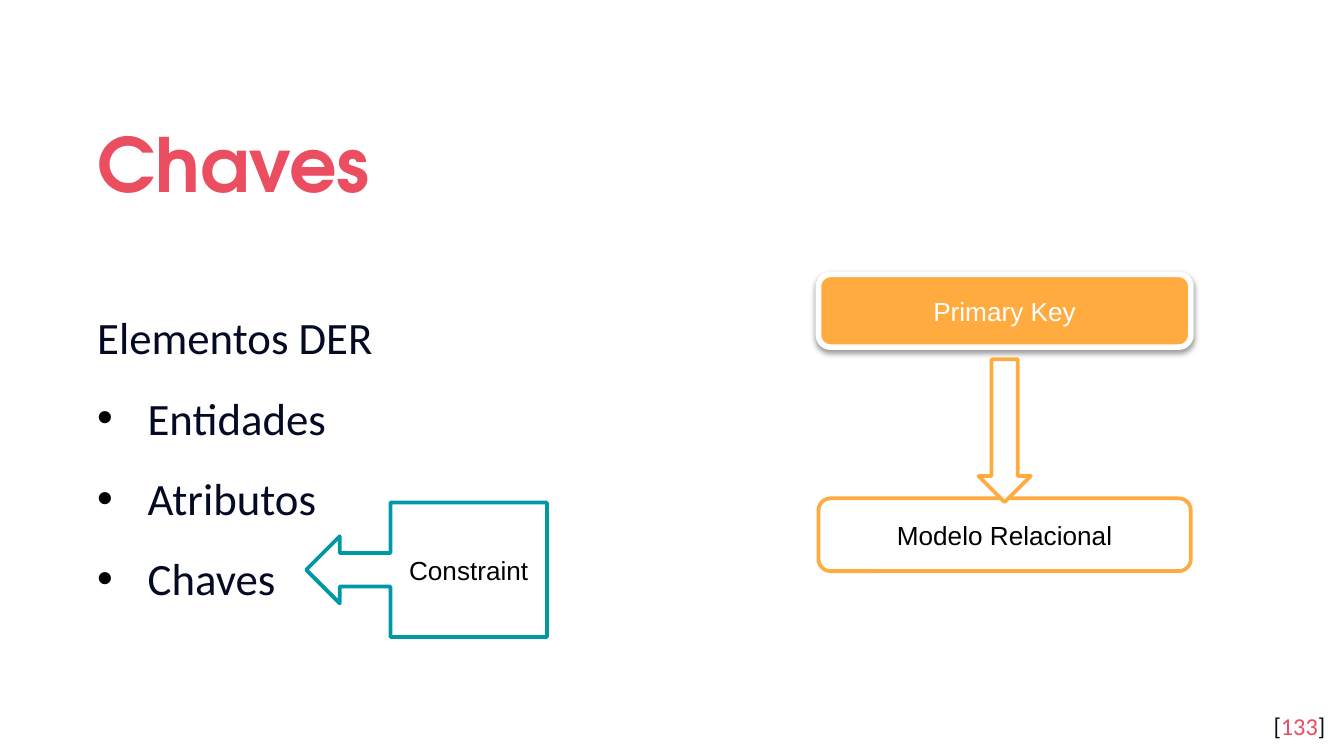
from lxml import etree
from pptx import Presentation
from pptx.dml.color import RGBColor
from pptx.enum.shapes import MSO_SHAPE
from pptx.enum.text import MSO_ANCHOR, MSO_AUTO_SIZE, PP_ALIGN
from pptx.oxml.ns import qn
from pptx.util import Pt

RED = RGBColor(0xEA, 0x4E, 0x60)
NAVY = RGBColor(0x04, 0x0A, 0x24)
TEAL = RGBColor(0x00, 0x97, 0xA7)
ORANGE = RGBColor(0xFF, 0xAB, 0x40)
WHITE = RGBColor(0xFF, 0xFF, 0xFF)
BLACK = RGBColor(0x00, 0x00, 0x00)

TITLE = dict(name="TeX Gyre Adventor", size=Pt(40), bold=True)
BODY = dict(name="Calibri", size=Pt(24))
NUMBER = dict(name="Calibri", size=Pt(13))
LABEL = dict(name="Arial", size=Pt(14))
INSET = 7.2


def add_run(p, text, color, fmt):
    r = p.add_run()
    r.text = text
    for key, value in fmt.items():
        setattr(r.font, key, value)
    r.font.color.rgb = color


def set_frame(tf, anchor, top=INSET):
    fmt = dict(word_wrap=True, auto_size=MSO_AUTO_SIZE.NONE, vertical_anchor=anchor,
               margin_left=Pt(INSET), margin_right=Pt(INSET),
               margin_top=Pt(top), margin_bottom=Pt(INSET))
    for key, value in fmt.items():
        setattr(tf, key, value)


def add_title(s, text, x, y, w, h):
    sp = s.shapes.title
    sp.left, sp.top, sp.width, sp.height = Pt(x), Pt(y), Pt(w), Pt(h)
    set_frame(sp.text_frame, MSO_ANCHOR.MIDDLE)
    p = sp.text_frame.paragraphs[0]
    p.alignment, p.line_spacing = PP_ALIGN.LEFT, 1.15
    add_run(p, text, RED, TITLE)


def add_page_number(s, number, x, y, w, h):
    tf = s.shapes.add_textbox(Pt(x), Pt(y), Pt(w), Pt(h)).text_frame
    set_frame(tf, MSO_ANCHOR.TOP)
    p = tf.paragraphs[0]
    p.alignment = PP_ALIGN.RIGHT
    for text, color in (("[", NAVY), (number, RED), ("]", NAVY)):
        add_run(p, text, color, NUMBER)


def add_bullet(p, indent):
    pPr = p._p.get_or_add_pPr()
    pPr.set("marL", str(Pt(indent)))
    pPr.set("indent", str(Pt(-indent)))
    color = etree.SubElement(pPr, qn("a:buClr"))
    etree.SubElement(color, qn("a:srgbClr"), val=str(BLACK))
    etree.SubElement(pPr, qn("a:buFont"), typeface="Arial")
    etree.SubElement(pPr, qn("a:buChar"), char="•")


def add_bullet_list(s, heading, items, x, y, w, h):
    gap = 10
    tf = s.shapes.add_textbox(Pt(x), Pt(y), Pt(w), Pt(h)).text_frame
    set_frame(tf, MSO_ANCHOR.MIDDLE, top=INSET + gap)
    for i, text in enumerate([heading, *items]):
        p = tf.add_paragraph() if i else tf.paragraphs[0]
        p.alignment, p.line_spacing = PP_ALIGN.JUSTIFY, 1.15
        if i:
            p.space_before = Pt(gap)
            add_bullet(p, 27)
        add_run(p, text, NAVY, BODY)


def add_box(s, kind, x, y, w, h, fill, line, weight=2, text="", color=BLACK):
    sp = s.shapes.add_shape(kind, Pt(x), Pt(y), Pt(w), Pt(h))
    sp.shadow.inherit = False
    sp.fill.solid()
    sp.fill.fore_color.rgb = fill
    sp.line.color.rgb = line
    sp.line.width = Pt(weight)
    if text:
        tf = sp.text_frame
        set_frame(tf, MSO_ANCHOR.MIDDLE)
        tf.paragraphs[0].alignment = PP_ALIGN.CENTER
        add_run(tf.paragraphs[0], text, color, LABEL)
    return sp


def add_drop_shadow(sp):
    effects = sp._element.spPr.find(qn("a:effectLst"))
    shadow = etree.SubElement(effects, qn("a:outerShdw"), blurRad=str(Pt(3.1)),
                              dist=str(Pt(1.6)), dir="5400000", rotWithShape="0")
    color = etree.SubElement(shadow, qn("a:srgbClr"), val=str(BLACK))
    etree.SubElement(color, qn("a:alpha"), val="38000")


def add_key_flow(s, x, y, w, h):
    """Key box on top, model box at the bottom, arrow between them."""
    box_h, arrow_w, gap, overlap = 39, 28, 6.5, 2
    key = add_box(s, MSO_SHAPE.ROUNDED_RECTANGLE, x, y, w, box_h,
                  ORANGE, WHITE, 3, "Primary Key", WHITE)
    add_drop_shadow(key)
    add_box(s, MSO_SHAPE.ROUNDED_RECTANGLE, x, y + h - box_h, w, box_h,
            WHITE, ORANGE, text="Modelo Relacional")
    add_box(s, MSO_SHAPE.DOWN_ARROW, x + (w - arrow_w) / 2, y + box_h + gap,
            arrow_w, h - 2 * box_h - gap + overlap, WHITE, ORANGE)


def main():
    prs = Presentation()
    prs.slide_width, prs.slide_height = Pt(720), Pt(405)
    s = prs.slides.add_slide(prs.slide_layouts[5])
    add_title(s, "Chaves", 45, 50.4, 631, 66)
    add_page_number(s, "133", 674, 373.7, 43, 31)
    add_bullet_list(s, "Elementos DER", ["Entidades", "Atributos", "Chaves"],
                    45, 116.6, 333, 242.6)
    add_box(s, MSO_SHAPE.LEFT_ARROW_CALLOUT, 164, 269.3, 129, 72,
            WHITE, TEAL, text="Constraint")
    add_key_flow(s, 438.5, 147, 199.5, 159)
    prs.save("out.pptx")


if __name__ == "__main__":
    main()
